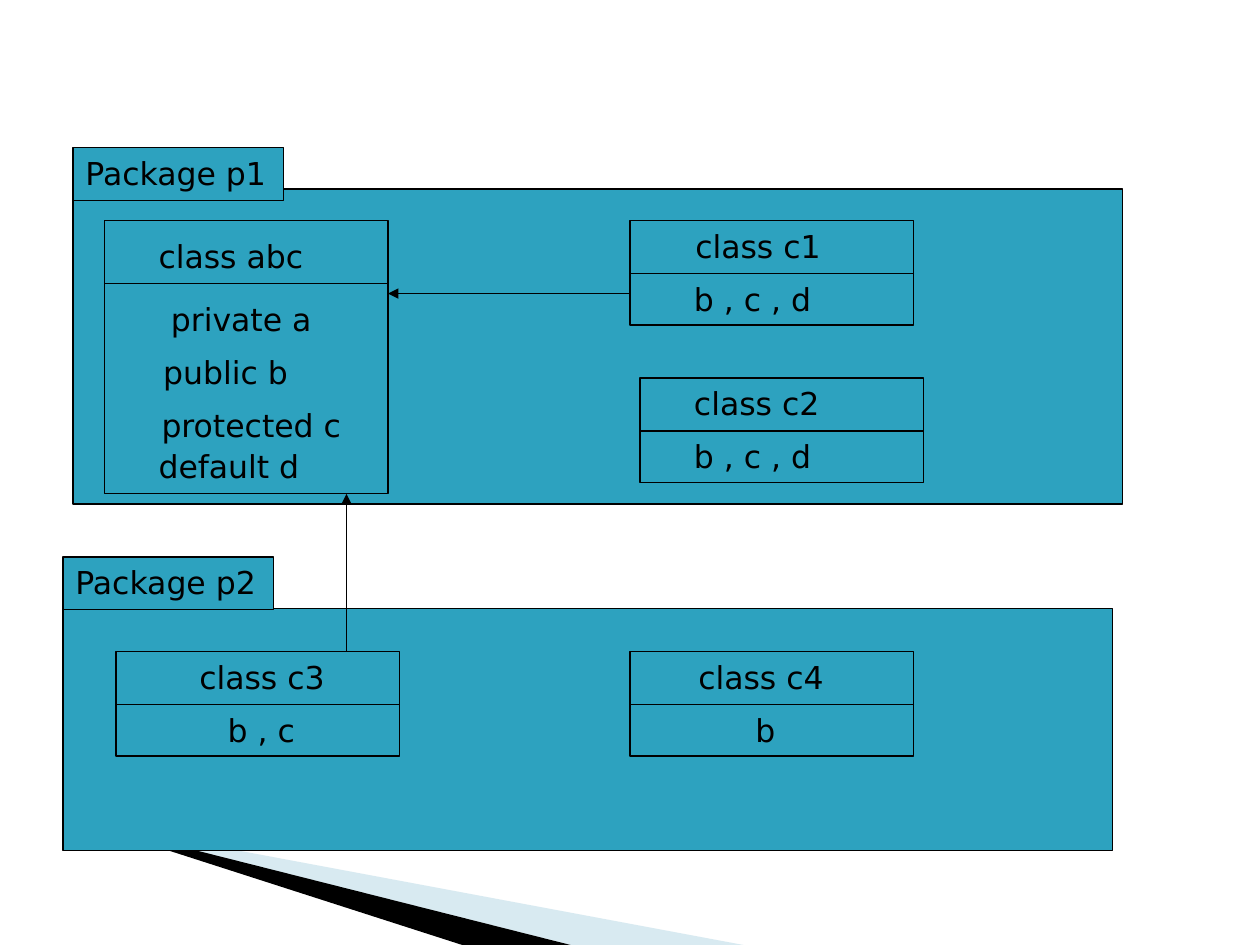
from lxml import etree
from pptx import Presentation
from pptx.dml.color import RGBColor
from pptx.enum.shapes import MSO_CONNECTOR, MSO_SHAPE
from pptx.enum.text import MSO_AUTO_SIZE, PP_ALIGN
from pptx.oxml.ns import qn
from pptx.util import Inches, Pt

RECT = MSO_SHAPE.RECTANGLE
LINE = MSO_CONNECTOR.STRAIGHT
LEFT, MID = PP_ALIGN.LEFT, PP_ALIGN.CENTER
FIT = MSO_AUTO_SIZE.SHAPE_TO_FIT_TEXT
TEAL, BLACK, PALE = "2DA2BF", "000000", "9FCBDC"
FONT = "DejaVu Sans"
CARD_W = 2.25


def color(text):
    return RGBColor.from_string(text)


def paint(shape, fill):
    shape.shadow.inherit = False
    shape.fill.solid()
    shape.fill.fore_color.rgb = color(fill)


def add_box(slide, x, y, w, h):
    box = slide.shapes.add_shape(RECT, Inches(x), Inches(y), Inches(w), Inches(h))
    paint(box, TEAL)
    box.line.color.rgb = color(BLACK)
    box.line.width = Pt(0.75)


def add_text(slide, text, x, y, w, align=LEFT):
    box = slide.shapes.add_textbox(Inches(x), Inches(y), Inches(w), Inches(0.4))
    frame = box.text_frame
    frame.word_wrap = True
    frame.auto_size = FIT
    para = frame.paragraphs[0]
    para.alignment = align
    run = para.add_run()
    run.text = text
    run.font.name = FONT
    run.font.size = Pt(18)
    run.font.color.rgb = color(BLACK)


def add_line(slide, x1, y1, x2, y2, arrow=False):
    line = slide.shapes.add_connector(
        LINE, Inches(x1), Inches(y1), Inches(x2), Inches(y2))
    line.line.color.rgb = color(BLACK)
    line.line.width = Pt(0.75)
    props = line._element.spPr
    if arrow:
        etree.SubElement(props.find(qn("a:ln")), qn("a:tailEnd"), type="triangle")
    etree.SubElement(props, qn("a:effectLst"))


def add_wedge(slide, points, fill, alpha=None):
    start, *rest = [(Inches(x), Inches(y)) for x, y in points]
    path = slide.shapes.build_freeform(*start)
    path.add_line_segments(rest, close=True)
    wedge = path.convert_to_shape()
    paint(wedge, fill)
    wedge.line.fill.background()
    if alpha:
        tone = wedge._element.spPr.find(qn("a:solidFill"))[0]
        etree.SubElement(tone, qn("a:alpha"), val=str(alpha * 1000))


def add_package(slide, name, x, tab_y, y, h):
    add_box(slide, x, y, 8.33, h)
    add_box(slide, x, tab_y, 1.67, 0.42)
    add_text(slide, name, x, tab_y, 2.42)


def add_card(slide, x, y, h, split, labels):
    add_box(slide, x, y, CARD_W, h)
    add_line(slide, x, y + split, x + CARD_W, y + split)
    for label in labels:
        add_text(slide, *label)


def main():
    prs = Presentation()
    prs.slide_width, prs.slide_height = Inches(10), Inches(7.5)
    slide = prs.slides.add_slide(prs.slide_layouts[6])

    # Corner wedges, cut at the slide's bottom edge
    add_wedge(slide, [(0.55, 6.5), (5.9, 7.5), (4.53, 7.5)], PALE, 40)
    add_wedge(slide, [(0.53, 6.49), (4.53, 7.5), (3.67, 7.5)], BLACK)

    # Packages
    add_package(slide, "Package p1", 0.58, 1.17, 1.5, 2.5)
    add_package(slide, "Package p2", 0.5, 4.42, 4.83, 1.92)

    # The base class and its members
    add_card(slide, 0.83, 1.75, 2.17, 0.5, [
        ("class abc", 1.16, 1.83, 1.75),
        ("private a", 1.08, 2.33, 1.67, MID),
        ("public b", 1.08, 2.75, 1.42, MID),
        ("protected c", 1.08, 3.17, 1.83, MID),
        ("default d", 1.16, 3.5, 1.75)])

    # The other classes: card corner, then name and members as (x, width, align)
    cards = [
        (5, 1.75, "class c1", (5.42, 1.5, LEFT), "b , c , d", (5.41, 1.6, LEFT)),
        (5.08, 3, "class c2", (5.41, 1.5, LEFT), "b , c , d", (5.41, 1.6, LEFT)),
        (0.92, 5.17, "class c3", (1.33, 1.5, MID), "b , c", (1.16, 1.83, MID)),
        (5, 5.17, "class c4", (5.29, 1.5, MID), "b", (5.16, 1.83, MID)),
    ]
    for x, y, name, (nx, nw, na), members, (mx, mw, ma) in cards:
        add_card(slide, x, y, 0.83, 0.42, [
            (name, nx, y, nw, na), (members, mx, y + 0.42, mw, ma)])

    # Arrows to the base class
    add_line(slide, 5, 2.33, 3.08, 2.33, arrow=True)
    add_line(slide, 2.75, 5.17, 2.75, 3.92, arrow=True)

    prs.save("out.pptx")


if __name__ == "__main__":
    main()
